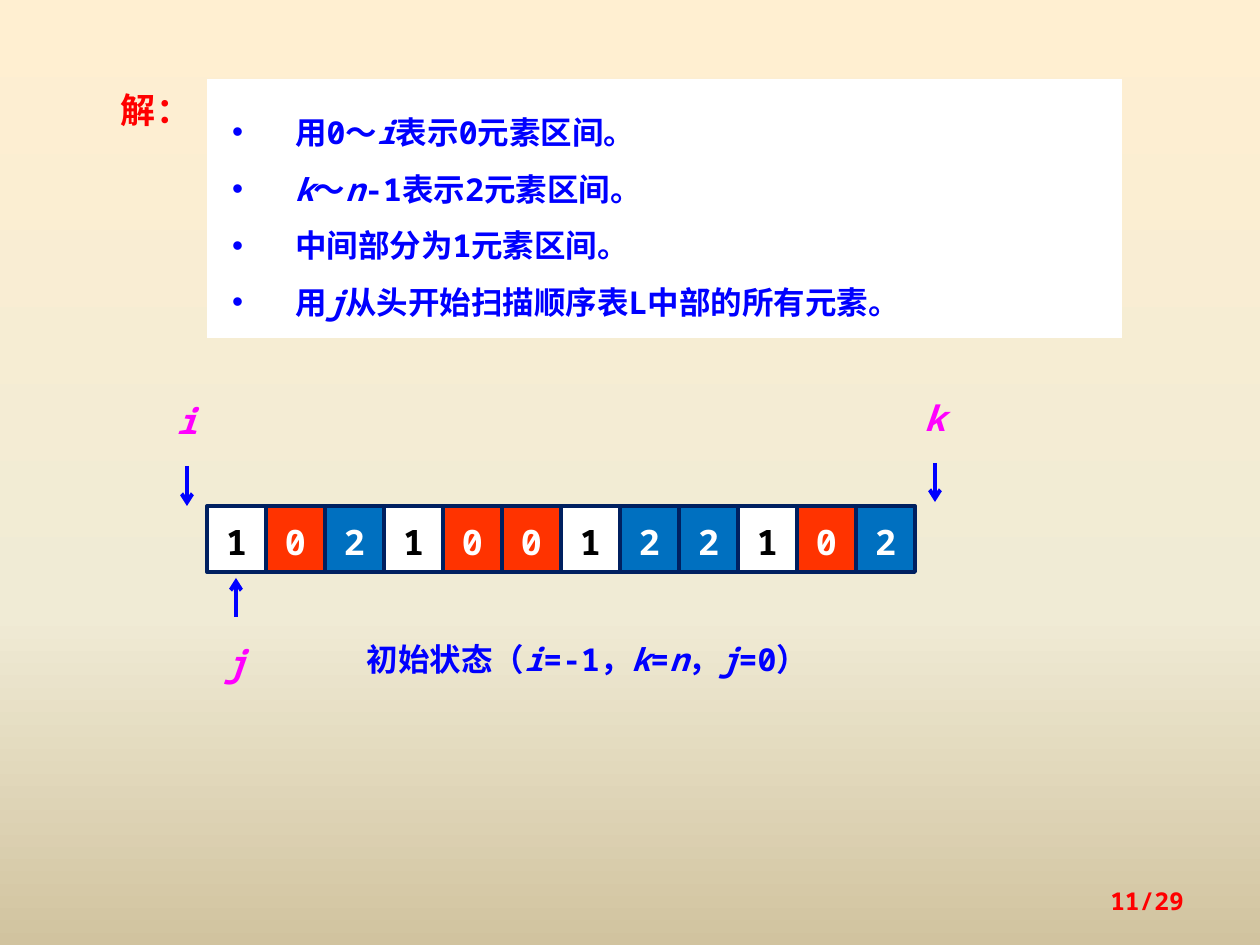
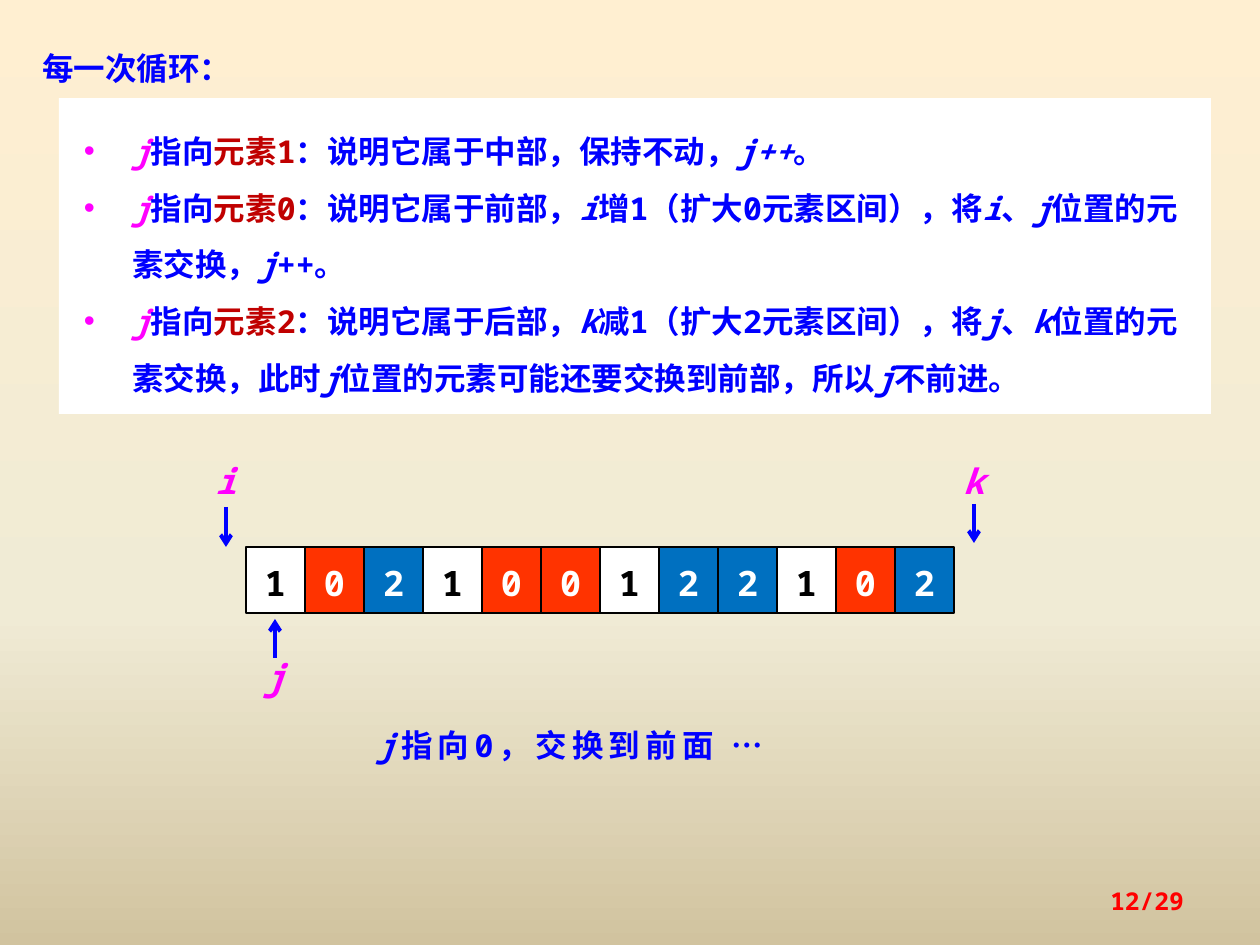
import copy

import pptx
import pptx.dml.color
import pptx.enum.dml
import pptx.enum.shapes
import pptx.enum.text
import pptx.oxml
import pptx.oxml.ns
import pptx.util

PX = 7257  # EMU, 126 px to the inch
COLORS = {
    "blue": "0000FF", "red": "FF0000", "dark red": "C00000", "magenta": "FF00FF",
    "navy": "002060", "black": "000000", "white": "FFFFFF",
    "zero": "FF3300", "one": "FFFFFF", "two": "0070C0",
    "sky": "FFEFD1", "cream": "F0EBD5", "sand": "D1C39F",
}
RGB = {name: pptx.dml.color.RGBColor.from_string(code) for name, code in COLORS.items()}
MONO, CJK = "Noto Sans Mono", "Noto Sans CJK SC"
ALIGN = pptx.enum.text.PP_ALIGN
ANCHOR = pptx.enum.text.MSO_ANCHOR
qn = pptx.oxml.ns.qn

# A span may open with a mark that changes its format.
MARKS = {
    "_": {"italic": True},
    "@": {"italic": True, "color": "magenta"},
    "#": {"color": "dark red"},
    "~": {"font": CJK},
}
CELLS = "102100122102"
CELL_STYLES = {"0": ("zero", "white"), "1": ("one", "black"), "2": ("two", "white")}
CELL_W, CELL_H = 59, 66

SLIDES = [
    {
        "title": "解：", "title_at": (108, 78, 98, 57), "title_size": 20, "title_color": "red",
        "list_at": (207, 79, 915, 259), "indent": 63,
        "list": [
            "用0～|_i|表示0元素区间。",
            "_k|～|_n|-1表示2元素区间。",
            "中间部分为1元素区间。",
            "用|_j|从头开始扫描顺序表L中部的所有元素。",
        ],
        "cells_at": (207, 506), "border": "navy", "border_pt": 2.25,
        "label_rise": {"i": -111, "k": -114, "j": 131},
        "caption": "初始状态（|_i|=-1，|_k|=|_n|，|_j|=0）",
        "caption_at": (354, 630, 501, 54), "tracking": 0,
        "number": "11/29",
    },
    {
        "title": "每一次循环：", "title_at": (29, 39, 276, 52), "title_size": 18, "title_color": "blue",
        "list_at": (59, 98, 1152, 316), "indent": 48,
        "list": [
            "@j|指向|#元素1|：说明它属于中部，保持不动，|_j++|。",
            "@j|指向|#元素0|：说明它属于前部，|_i|增1（扩大0元素区间），将|_i|、|_j|位置的元素交换，|_j|++。",
            "@j|指向|#元素2|：说明它属于后部，|_k|减1（扩大2元素区间），将|_j|、|_k|位置的元素交换，"
            "此时|_j|位置的元素可能还要交换到前部，所以|_j|不前进。",
        ],
        "cells_at": (246, 547), "border": "black", "border_pt": 1.5,
        "label_rise": {"i": -92, "k": -92, "j": 104},
        "caption": "_j|指向0，交换到前面 |~…",
        "caption_at": (364, 716, 581, 54), "tracking": 300,
        "number": "12/29",
    },
]


def write(box, text, *, size=18, color="blue", align=ALIGN.LEFT, anchor=ANCHOR.TOP,
          leading=1.1, insets=(13, 6, 13, 6), indent=0, tracking=0):
    """Fill box with one paragraph per line of text; "|" parts the spans of a line."""
    frame = box.text_frame
    frame.word_wrap = True
    frame.auto_size = pptx.enum.text.MSO_AUTO_SIZE.NONE
    frame.vertical_anchor = anchor
    (frame.margin_left, frame.margin_top,
     frame.margin_right, frame.margin_bottom) = [inset * PX for inset in insets]
    for index, line in enumerate(text.split("\n")):
        para = frame.add_paragraph() if index else frame.paragraphs[0]
        if indent:
            props = para._p.get_or_add_pPr()
            props.set("marL", str(indent * PX))
            props.set("indent", str(-indent * PX))
            bullet = props.makeelement(qn("a:buChar"), {"char": "•"})
            props.append(bullet)
        para.alignment = align
        para.line_spacing = leading
        para.space_before = pptx.util.Pt(0)
        for part in line.split("|"):
            style = MARKS.get(part[0], {})
            span = para.add_run()
            span.text = part[1:] if style else part
            font = span.font
            font.name = style.get("font", MONO)
            font.size = pptx.util.Pt(size)
            font.bold = True
            font.italic = style.get("italic", False)
            font.color.rgb = RGB[style.get("color", color)]
            props = span._r.get_or_add_rPr()
            props.find(qn("a:latin")).addnext(props.makeelement(qn("a:ea"), {"typeface": CJK}))
            if tracking:
                props.set("spc", str(tracking))


def place(shape, left, top, width, height):
    shape.left, shape.top, shape.width, shape.height = (
        left * PX, top * PX, width * PX, height * PX)
    return shape


deck = pptx.Presentation()
deck.slide_width, deck.slide_height = pptx.util.Inches(10), pptx.util.Inches(7.5)

# The gradient behind every slide
master = deck.slide_master
backdrop = master.background.fill
backdrop.gradient()
backdrop.gradient_angle = 270
stops = master.element.find(".//" + qn("a:gsLst"))
stops.insert(1, copy.deepcopy(stops[0]))
for stop, (position, name) in zip(backdrop.gradient_stops,
                                  [(0, "sky"), (0.65, "cream"), (1, "sand")]):
    stop.position = position
    stop.color.rgb = RGB[name]

for content in SLIDES:
    page = deck.slides.add_slide(deck.slide_layouts[1])
    title = place(page.shapes.title, *content["title_at"])
    write(title, content["title"], size=content["title_size"], color=content["title_color"])

    points = place(page.placeholders[1], *content["list_at"])
    points.fill.solid()
    points.fill.fore_color.rgb = RGB["white"]
    write(points, "\n".join(content["list"]), leading=1.5,
          insets=(25, 15, 13, 15), indent=content["indent"])

    # The sequence of elements
    left, top = content["cells_at"]
    for index, digit in enumerate(CELLS):
        fill, ink = CELL_STYLES[digit]
        cell = page.shapes.add_shape(pptx.enum.shapes.MSO_SHAPE.RECTANGLE, 0, 0, 0, 0)
        place(cell, left + index * CELL_W, top, CELL_W, CELL_H)
        cell.shadow.inherit = False
        cell.fill.solid()
        cell.fill.fore_color.rgb = RGB[fill]
        cell.line.color.rgb = RGB[content["border"]]
        cell.line.width = pptx.util.Pt(content["border_pt"])
        write(cell, digit, size=20, color=ink, align=ALIGN.CENTER, anchor=ANCHOR.MIDDLE)

    # The index pointers: centre, arrow start and arrow tip
    pointers = {
        "i": (left - 20, top - 40, top),
        "k": (left + len(CELLS) * CELL_W + 20, top - 43, top - 4),
        "j": (left + CELL_W // 2, top + CELL_H + 45, top + CELL_H + 6),
    }
    for name, (center, start, tip) in pointers.items():
        arrow = page.shapes.add_connector(
            pptx.enum.shapes.MSO_CONNECTOR.STRAIGHT,
            center * PX, start * PX, center * PX, tip * PX)
        arrow.line.color.rgb = RGB["blue"]
        arrow.line.width = pptx.util.Pt(2.25)
        line = arrow.line._get_or_add_ln()
        line.append(line.makeelement(qn("a:tailEnd"), {"type": "arrow"}))
        line.addnext(line.makeelement(qn("a:effectLst"), {}))
        label = place(page.shapes.add_textbox(0, 0, 0, 0),
                      center - 20, top + content["label_rise"][name], 40, 47)
        write(label, "@" + name, size=20, align=ALIGN.CENTER, insets=(0, 0, 0, 0))

    caption = place(page.shapes.add_textbox(0, 0, 0, 0), *content["caption_at"])
    write(caption, content["caption"], tracking=content["tracking"])

    number = place(page.shapes.add_textbox(0, 0, 0, 0), 903, 876, 294, 50)
    write(number, content["number"], size=14, color="red", align=ALIGN.RIGHT,
          anchor=ANCHOR.MIDDLE, leading=1.0)

deck.save("out.pptx")
